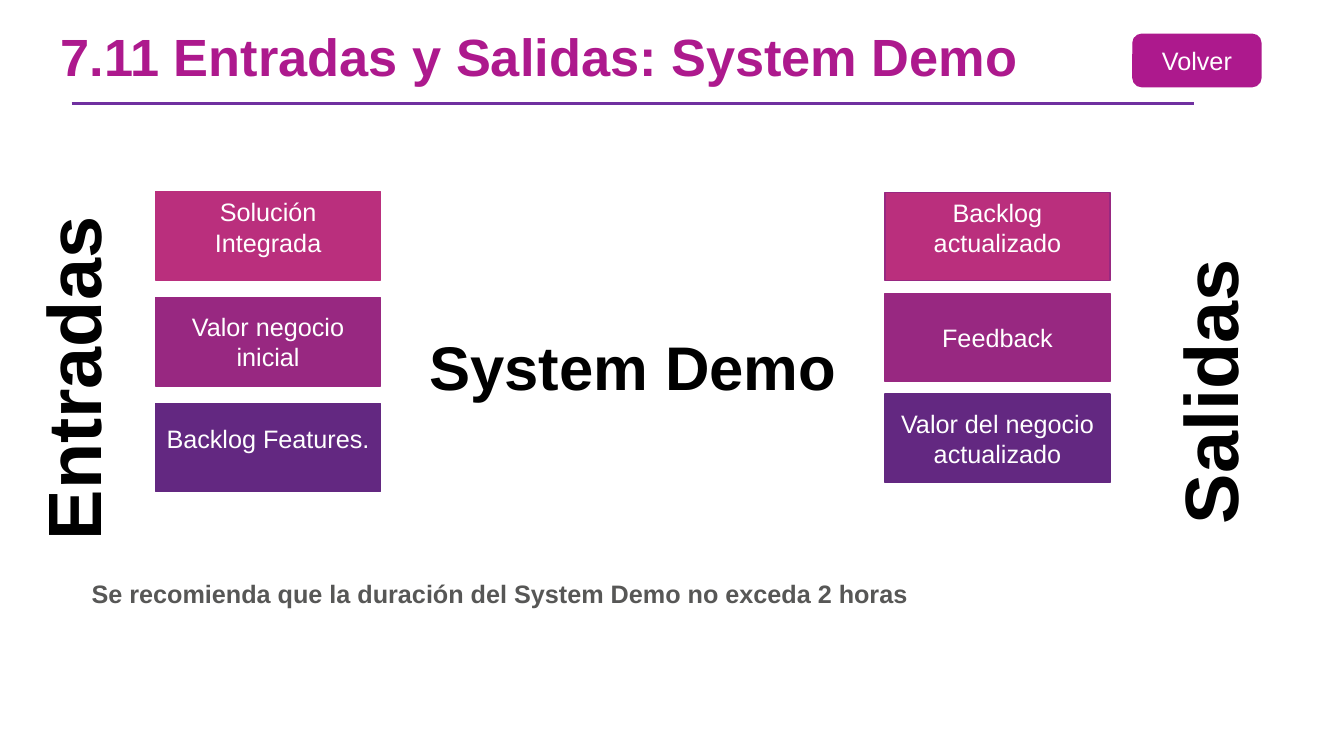
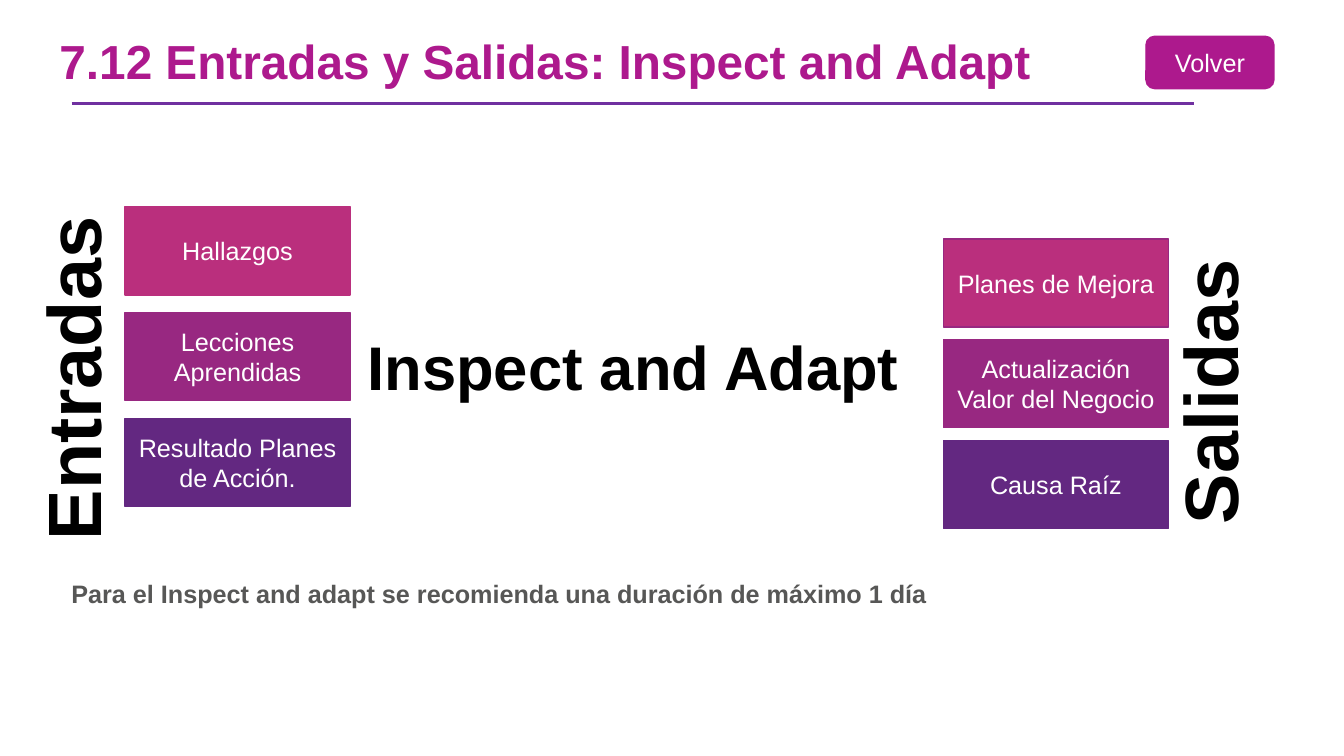
"""Builds two slides on the inputs and outputs of agile events."""
from lxml.etree import SubElement
from pptx import Presentation
from pptx.dml.color import RGBColor
from pptx.enum.shapes import MSO_CONNECTOR, MSO_SHAPE
from pptx.enum.text import MSO_ANCHOR, MSO_AUTO_SIZE, PP_ALIGN
from pptx.oxml.ns import qn
from pptx.util import Pt

COLORS = {
    "title": "AD198D",
    "rule": "7030A0",
    "pink": "BA2F7D",
    "purple": "982881",
    "violet": "632881",
    "white": "FFFFFF",
    "black": "000000",
    "gray": "575756",
}
BLOCK_FILLS = ["pink", "purple", "violet"]
BLOCK_WIDTH, BLOCK_HEIGHT = 160.6, 63
RAISED = 16.2

SLIDES = [
    {
        "title": "7.11 Entradas y Salidas: System Demo",
        "title_box": (36, 21.6, 743.8, 43.9),
        "title_size": 37.4,
        "title_spacing": 0.8,
        "button": (809.3, 24.5),
        "event": "System Demo",
        "event_box": (298.1, 231.1, 308.2, 60.5),
        "note": "Se recomienda que la duración del System Demo no exceda 2 horas",
        "note_box": (58.3, 409.7, 603.4, 28.8),
        "columns": [
            {"left": 111.2, "top": 137, "pitch": 75.6, "outline": "pink",
             "texts": ["Solución Integrada", "Valor negocio inicial", "Backlog Features."],
             "raised": ["Solución Integrada", "Backlog Features."]},
            {"left": 632.2, "top": 137.5, "pitch": 72, "outline": "purple",
             "texts": ["Backlog actualizado", "Feedback", "Valor del negocio actualizado"],
             "raised": ["Backlog actualizado"]},
        ],
    },
    {
        "title": "7.12 Entradas y Salidas: Inspect and Adapt",
        "title_box": (35.3, 25.9, 743.8, 43.9),
        "title_size": 34.1,
        "title_spacing": 0.7,
        "button": (818.6, 25.9),
        "event": "Inspect and Adapt",
        "event_box": (253.4, 231.1, 398.2, 60.5),
        "note": "Para el Inspect and adapt se recomienda una duración de máximo 1 día",
        "note_box": (43.9, 409.7, 631.4, 28.8),
        "columns": [
            {"left": 89.4, "top": 147.6, "pitch": 75.6, "outline": "pink",
             "texts": ["Hallazgos", "Lecciones Aprendidas", "Resultado Planes de Acción."],
             "raised": []},
            {"left": 673.9, "top": 170.6, "pitch": 72, "outline": "purple",
             "texts": ["Planes de Mejora", "Actualización Valor del Negocio", "Causa Raíz"],
             "raised": []},
        ],
    },
]
SIDE_LABELS = [
    ("Entradas", (-72.7, 234, 247.7, 72.7)),
    ("Salidas", (761, 243.4, 205.2, 72.7)),
]


def write(shape, text, size=18, color="white", bold=False, align=PP_ALIGN.CENTER,
          anchor=MSO_ANCHOR.MIDDLE, wrap=True, spacing=None):
    frame = shape.text_frame
    frame.text = text
    frame.word_wrap = wrap
    frame.auto_size = MSO_AUTO_SIZE.NONE
    frame.vertical_anchor = anchor
    paragraph = frame.paragraphs[0]
    paragraph.alignment = align
    paragraph.line_spacing = spacing
    font = paragraph.runs[0].font
    font.name = "Arial"
    font.size = Pt(size)
    font.bold = bold
    font.color.rgb = RGBColor.from_string(COLORS[color])


def add_block(slide, kind, box, fill, outline):
    shape = slide.shapes.add_shape(kind, *map(Pt, box))
    shape.shadow.inherit = False
    shape.fill.solid()
    shape.fill.fore_color.rgb = RGBColor.from_string(COLORS[fill])
    shape.line.color.rgb = RGBColor.from_string(COLORS[outline])
    shape.line.width = Pt(1)
    return shape


presentation = Presentation()
presentation.slide_width, presentation.slide_height = Pt(960), Pt(540)

for content in SLIDES:
    slide = presentation.slides.add_slide(presentation.slide_layouts[5])

    title = slide.shapes.title
    title.left, title.top, title.width, title.height = map(Pt, content["title_box"])
    write(title, content["title"], size=content["title_size"], color="title", bold=True,
          align=PP_ALIGN.LEFT, spacing=content["title_spacing"])

    rule = slide.shapes.add_connector(
        MSO_CONNECTOR.STRAIGHT, Pt(51.1), Pt(74.2), Pt(853.2), Pt(74.2))
    rule.line.color.rgb = RGBColor.from_string(COLORS["rule"])
    rule.line.width = Pt(2.25)
    SubElement(rule._element.spPr, qn("a:effectLst"))

    button = add_block(slide, MSO_SHAPE.ROUNDED_RECTANGLE,
                       (*content["button"], 91.4, 37.4), "title", "title")
    write(button, "Volver")

    for column in content["columns"]:
        outlines = [column["outline"], *BLOCK_FILLS[1:]]
        for row, (text, fill, outline) in enumerate(zip(column["texts"], BLOCK_FILLS, outlines)):
            top = column["top"] + row * column["pitch"]
            block = add_block(slide, MSO_SHAPE.RECTANGLE,
                              (column["left"], top, BLOCK_WIDTH, BLOCK_HEIGHT), fill, outline)
            write(block, text)
            if text in column["raised"]:
                block.text_frame.margin_bottom = Pt(RAISED)

    event = slide.shapes.add_textbox(*map(Pt, content["event_box"]))
    write(event, content["event"], size=44, color="black", bold=True,
          anchor=MSO_ANCHOR.TOP, wrap=False)

    for text, box in SIDE_LABELS:
        label = slide.shapes.add_textbox(*map(Pt, box))
        label.rotation = 270
        write(label, text, size=54, color="black", bold=True,
              anchor=MSO_ANCHOR.TOP, wrap=False)

    note = slide.shapes.add_textbox(*map(Pt, content["note_box"]))
    write(note, content["note"], color="gray", bold=True, align=PP_ALIGN.LEFT,
          anchor=MSO_ANCHOR.TOP, wrap=False)

presentation.save("out.pptx")
